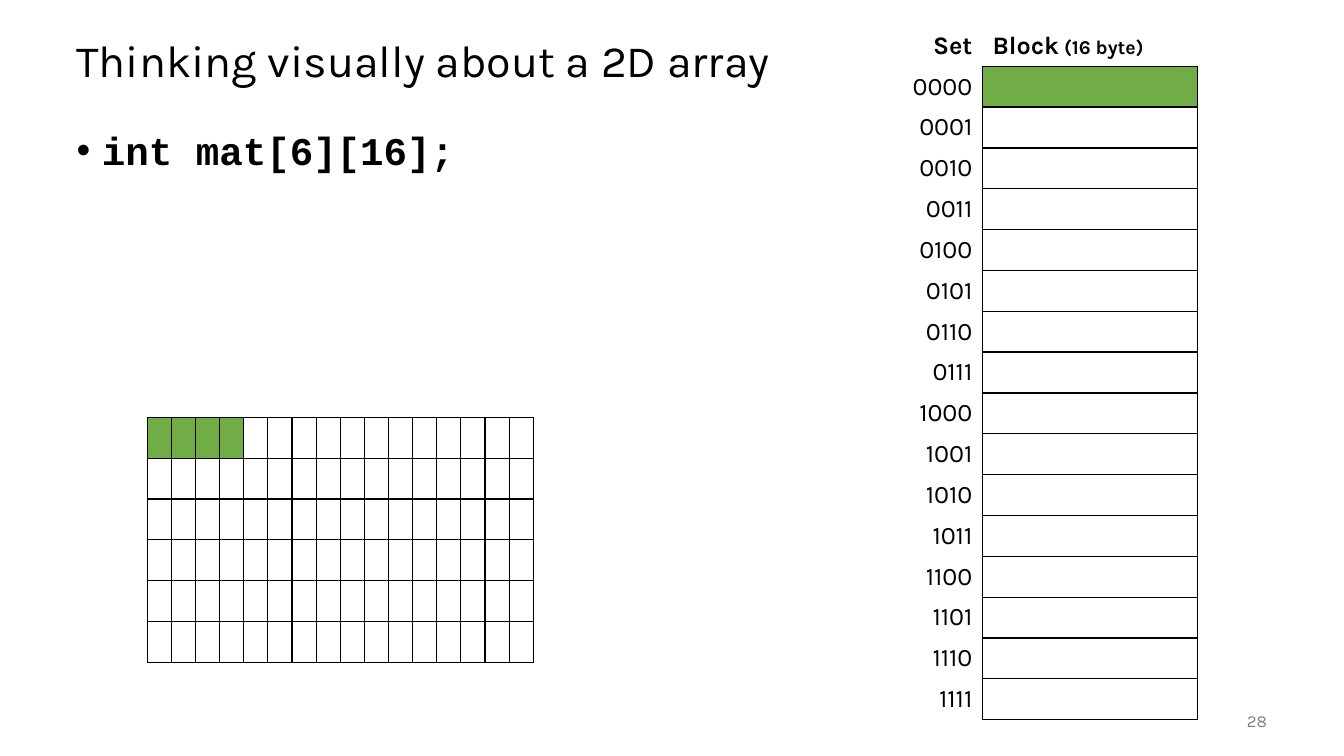
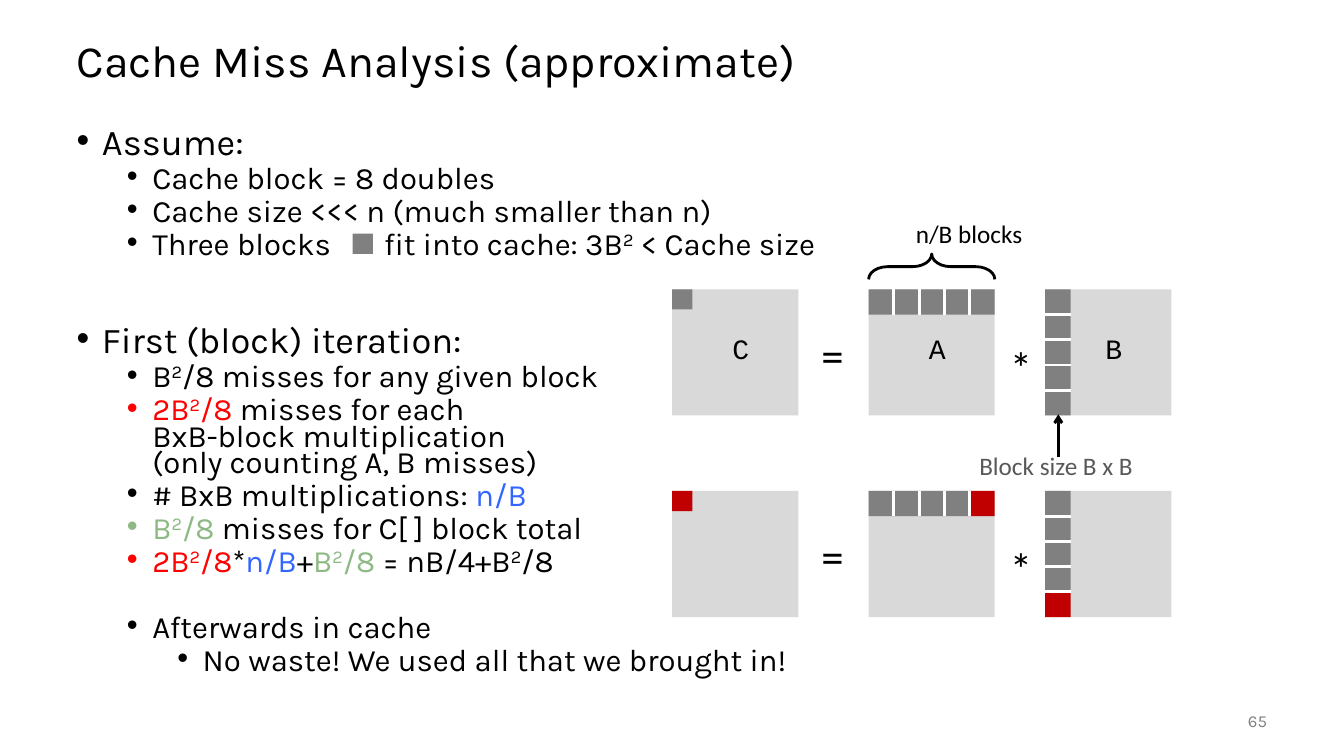
"""Build two lecture slides on 2D arrays and cache misses."""
from lxml import etree
from pptx import Presentation
from pptx.dml.color import RGBColor
from pptx.enum.shapes import MSO_CONNECTOR, MSO_SHAPE
from pptx.enum.text import MSO_ANCHOR, PP_ALIGN
from pptx.oxml.ns import qn
from pptx.util import Cm, Pt

BLACK = RGBColor(0x00, 0x00, 0x00)
WHITE = RGBColor(0xFF, 0xFF, 0xFF)
GREEN = RGBColor(0x70, 0xAD, 0x47)
SAGE = RGBColor(0x8D, 0xBA, 0x84)
BLUE = RGBColor(0x33, 0x66, 0xFF)
RED = RGBColor(0xFF, 0x00, 0x00)
DARK_RED = RGBColor(0xC0, 0x00, 0x00)
GRAY = RGBColor(0x80, 0x80, 0x80)
DARK_GRAY = RGBColor(0x59, 0x59, 0x59)
LIGHT_GRAY = RGBColor(0xD9, 0xD9, 0xD9)
SANS, MONO, LABEL = "Karla", "Courier New", "Calibri"
NO_STYLE = "{2D5ABB26-0587-4C30-8999-92F81FD0307C}"

ARRAY_TITLE = "Thinking visually about a 2D array"
DECLARATION = "int mat[6][16];"
SETS = [format(i, "04b") for i in range(16)]
MAT_ROWS, MAT_COLS, CACHED = 6, 16, 4

MISS_TITLE = "Cache Miss Analysis (approximate)"
TAB_STOPS = (5.84, 7.75)
ANALYSIS = [
    (0, 0, ["Assume:"]),
    (1, 5, ["Cache block = 8 doubles"]),
    (1, 5, ["Cache size <<< n (much smaller than n)"]),
    (1, 5, ["Three blocks\tfit into cache: 3B² < Cache size"]),
    (0, 49, ["First (block) iteration:"]),
    (1, 5, ["B²/8 misses for any given block"]),
    (1, 5, [("2B²/8", RED),
            " misses for each\nBxB-block multiplication\n(only counting A, B misses)"]),
    (1, 5, ["# BxB multiplications: ", ("n/B", BLUE)]),
    (1, 5, [("B²/8", SAGE), " misses for C[ ] block total"]),
    (1, 5, [("2B²/8", RED), "*", ("n/B", BLUE), "+", ("B²/8", SAGE), " = nB/4+B²/8"]),
    (1, 28.5, ["Afterwards in cache"]),
    (2, 5, ["No waste! We used all that we brought in!"]),
]
MATRICES = {"C": 16.94, "A": 21.89, "B": 26.34}
OPERATORS = [("=", 20.45, 0.84), ("*", 25.2, 1.14)]
SIDE, STRIP, CORNER, BLOCKS = 3.18, 0.64, 0.51, 5
FIRST_TOP, SECOND_TOP = 7.29, 12.37


def write(tf, runs, size=18, font=SANS, color=BLACK, bold=False, align=None,
          spacing=None, before=0, level=None, tabs=()):
    """Add one paragraph; a run is text or (text, colour), and ² becomes a superscript 2."""
    p = tf.paragraphs[0] if not tf.text else tf.add_paragraph()
    p.alignment = align
    p.space_before = Pt(before)
    if spacing:
        p.line_spacing = spacing
    if level is not None:
        pPr = p._p.get_or_add_pPr()
        pPr.set("marL", str(Cm(0.64 + 1.27 * level)))
        pPr.set("indent", str(-Cm(0.64)))
        p.level = level
        etree.SubElement(pPr, qn("a:buFont")).set("typeface", "Arial")
        etree.SubElement(pPr, qn("a:buChar")).set("char", "•")
        if tabs:
            stops = etree.SubElement(pPr, qn("a:tabLst"))
            for pos in tabs:
                stop = etree.SubElement(stops, qn("a:tab"))
                stop.set("pos", str(Cm(pos)))
                stop.set("algn", "l")

    def add(text, tint, points, raised=False):
        r = p.add_run()
        r.text = text
        f = r.font
        f.name, f.size, f.bold = font, Pt(points), bold
        f.color.rgb = tint
        if raised:
            r._r.get_or_add_rPr().set("baseline", "30000")

    for run in [runs] if isinstance(runs, str) else runs:
        text, tint, points = (*run, size)[:3] if isinstance(run, tuple) else (run, color, size)
        for i, line in enumerate(text.split("\n")):
            if i:
                p.add_line_break()
            for j, part in enumerate(line.split("²")):
                if j:
                    add("2", tint, points, raised=True)
                if part:
                    add(part, tint, points)


def box(s, x, y, w, h, anchor=MSO_ANCHOR.TOP, wrap=True):
    tf = s.shapes.add_textbox(Cm(x), Cm(y), Cm(w), Cm(h)).text_frame
    tf.word_wrap = wrap
    tf.vertical_anchor = anchor
    return tf


def label(s, text, x, y, w, h, **fmt):
    write(box(s, x, y, w, h, wrap=False), text, font=LABEL, **fmt)


def rect(s, x, y, w, h, fill):
    sp = s.shapes.add_shape(MSO_SHAPE.RECTANGLE, Cm(x), Cm(y), Cm(w), Cm(h))
    sp.shadow.inherit = False
    sp.fill.solid()
    sp.fill.fore_color.rgb = fill
    sp.line.fill.background()
    return sp


def line(s, x1, y1, x2, y2, color, arrow=False):
    c = s.shapes.add_connector(MSO_CONNECTOR.STRAIGHT, Cm(x1), Cm(y1), Cm(x2), Cm(y2))
    c.line.color.rgb = color
    c.line.width = Pt(2)
    if arrow:
        etree.SubElement(c.line._get_or_add_ln(), qn("a:tailEnd")).set("type", "arrow")
    etree.SubElement(c._element.spPr, qn("a:effectLst"))


def base_slide(prs, title, number):
    s = prs.slides.add_slide(prs.slide_layouts[6])
    write(box(s, 1.68, 0.64, 30.48, 1.9, MSO_ANCHOR.MIDDLE), title, size=32, spacing=0.9)
    write(box(s, 29.64, 17.65, 2.54, 1.02, MSO_ANCHOR.MIDDLE), str(number),
          size=12, color=GRAY, align=PP_ALIGN.RIGHT)
    return s, box(s, 1.68, 3.18, 30.48, 13.97)


def grid(s, rows, x, y, widths, height):
    frame = s.shapes.add_table(rows, len(widths), Cm(x), Cm(y), Cm(sum(widths)), Cm(height))
    table = frame.table
    table.first_row = table.horz_banding = False
    table._tbl.tblPr.find(qn("a:tableStyleId")).text = NO_STYLE
    for column, width in zip(table.columns, widths):
        column.width = Cm(width)
    for row in table.rows:
        row.height = Cm(height / rows)
    return table


def style_cell(cell, fill, sides):
    tcPr = cell._tc.get_or_add_tcPr()
    for side in sides:
        ln = etree.SubElement(tcPr, qn(f"a:ln{side}"))
        ln.set("w", str(Pt(1)))
        solid = etree.SubElement(ln, qn("a:solidFill"))
        etree.SubElement(solid, qn("a:srgbClr")).set("val", str(BLACK))
    cell.fill.solid()
    cell.fill.fore_color.rgb = fill
    cell.vertical_anchor = MSO_ANCHOR.MIDDLE


def array_slide(prs):
    s, body = base_slide(prs, ARRAY_TITLE, 28)
    write(body, DECLARATION, size=28, font=MONO, bold=True, spacing=0.9, level=0)

    cache = grid(s, len(SETS) + 1, 22.5, 0.64, (2.26, 5.41), 17.5)
    for i, name in enumerate(["Set", *SETS]):
        style_cell(cache.cell(i, 0), WHITE, "R" if i else "")
        style_cell(cache.cell(i, 1), GREEN if i == 1 else WHITE, "LRTB" if i else "B")
        write(cache.cell(i, 0).text_frame, name, bold=i == 0, align=PP_ALIGN.RIGHT)
    write(cache.cell(0, 1).text_frame, ["Block", (" (16 byte)", BLACK, 14)], bold=True)

    mat = grid(s, MAT_ROWS, 3.71, 10.52, [9.25 / MAT_COLS] * MAT_COLS, 6.17)
    for i in range(MAT_ROWS):
        for j in range(MAT_COLS):
            style_cell(mat.cell(i, j), GREEN if i == 0 and j < CACHED else WHITE, "LRTB")


def product(s, top, corner, last, named):
    """Draw C = A * B with a row of blocks in A and a column of blocks in B."""
    for name, x in MATRICES.items():
        sp = rect(s, x, top, SIDE, SIDE, LIGHT_GRAY)
        if named:
            tf = sp.text_frame
            tf.vertical_anchor = MSO_ANCHOR.TOP
            tf.margin_left, tf.margin_top = Cm(1.52), Cm(1.07)
            write(tf, name, size=20, font=MONO, align=PP_ALIGN.LEFT)
    for sign, x, drop in OPERATORS:
        label(s, sign, x, top + drop, 1.09, 1.63, size=32)
    rect(s, MATRICES["C"], top, CORNER, CORNER, corner)
    a, b, step = MATRICES["A"], MATRICES["B"], SIDE / BLOCKS
    for i in range(BLOCKS):
        fill = last if i == BLOCKS - 1 else GRAY
        rect(s, a + i * step, top, step, STRIP, fill)
        rect(s, b, top + i * step, STRIP, step, fill)
    for i in range(1, BLOCKS):
        line(s, a + i * step, top, a + i * step, top + STRIP, WHITE)
        line(s, b, top + i * step, b + STRIP, top + i * step, WHITE)


def miss_slide(prs):
    s, body = base_slide(prs, MISS_TITLE, 65)
    for level, before, runs in ANALYSIS:
        write(body, runs, size=22.2 if level else 25.9, spacing=0.7, before=before,
              level=level, tabs=TAB_STOPS if "\t" in runs[0] else ())
    rect(s, 8.89, 5.89, CORNER, CORNER, GRAY)
    product(s, FIRST_TOP, GRAY, GRAY, named=True)
    product(s, SECOND_TOP, DARK_RED, DARK_RED, named=False)

    label(s, "Block size B x B", 24.43, 11.23, 4.52, 1.02, color=DARK_GRAY)
    line(s, 26.67, 11.51, 26.67, 10.44, BLACK, arrow=True)
    label(s, "n/B blocks", 22.83, 5.38, 3.3, 1.02)
    middle = MATRICES["A"] + SIDE / 2
    brace = s.shapes.add_shape(MSO_SHAPE.LEFT_BRACE, Cm(middle - STRIP / 2), Cm(5.13),
                               Cm(STRIP), Cm(SIDE))
    brace.rotation = 90
    brace.adjustments[0] = 0.75
    brace.shadow.inherit = False
    brace.fill.background()
    brace.line.color.rgb = BLACK
    brace.line.width = Pt(2)


def main():
    prs = Presentation()
    prs.slide_width, prs.slide_height = Cm(33.87), Cm(19.05)
    array_slide(prs)
    miss_slide(prs)
    prs.save("out.pptx")


if __name__ == "__main__":
    main()
